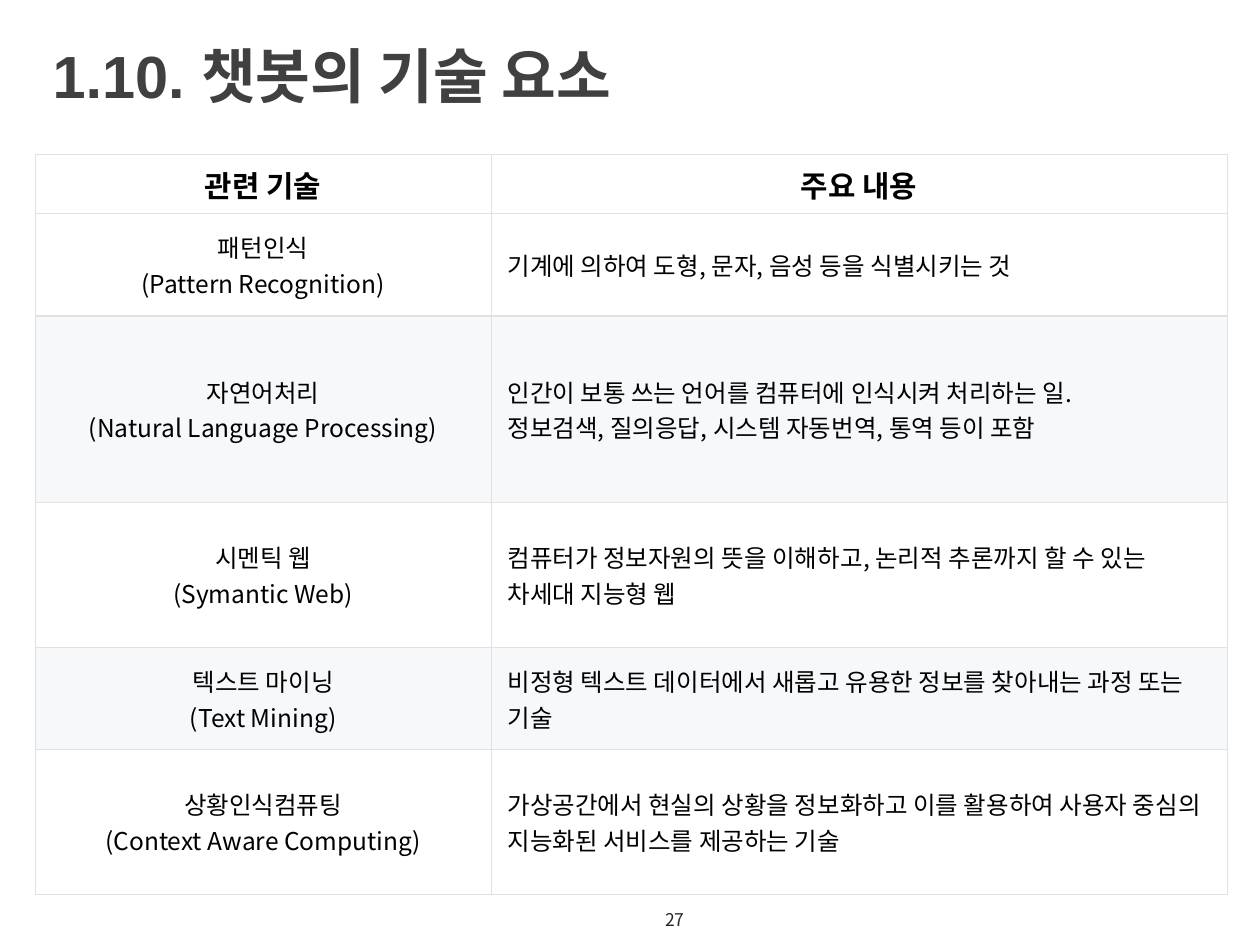
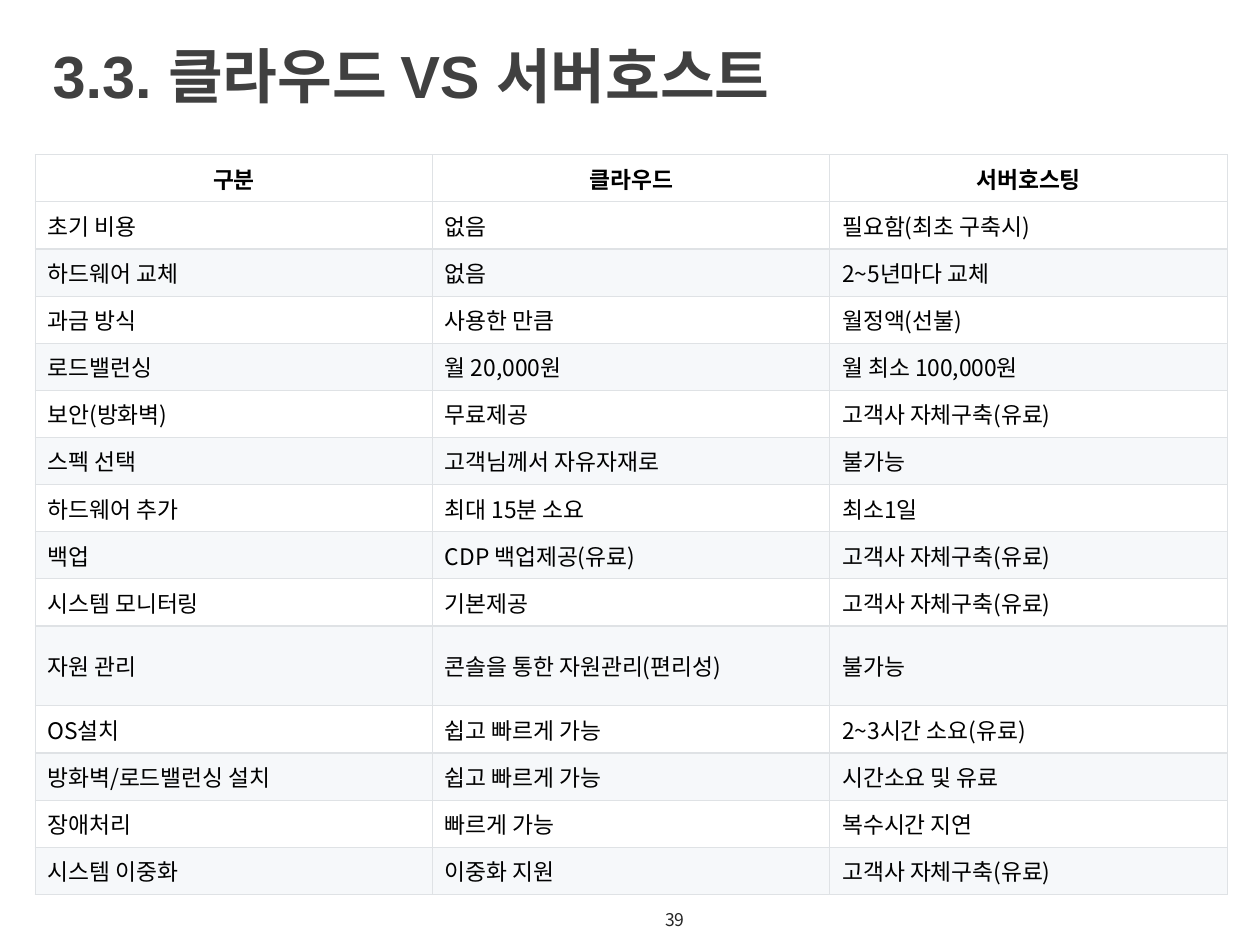
from copy import deepcopy

from lxml import etree
from pptx import Presentation
from pptx.dml.color import RGBColor
from pptx.enum.text import MSO_ANCHOR, PP_ALIGN
from pptx.oxml.ns import qn
from pptx.util import Cm, Pt

MIDDLE = MSO_ANCHOR.MIDDLE
LEFT, CENTER = PP_ALIGN.LEFT, PP_ALIGN.CENTER
SANS = "Noto Sans CJK KR"
INK, WHITE, BAND, RULE = "000000", "FFFFFF", "F6F8FA", "DFE2E5"
TITLE = {"name": "Arial", "size": Pt(34), "bold": True}
FOOTER = {"name": SANS, "size": Pt(10), "bold": False}

TECH = [
    ("관련 기술", "주요 내용"),
    ("패턴인식\n(Pattern Recognition)",
     "기계에 의하여 도형, 문자, 음성 등을 식별시키는 것"),
    ("자연어처리\n(Natural Language Processing)",
     "인간이 보통 쓰는 언어를 컴퓨터에 인식시켜 처리하는 일.\n"
     "정보검색, 질의응답, 시스템 자동번역, 통역 등이 포함"),
    ("시멘틱 웹\n(Symantic Web)",
     "컴퓨터가 정보자원의 뜻을 이해하고, 논리적 추론까지 할 수 있는 차세대 지능형 웹"),
    ("텍스트 마이닝\n(Text Mining)",
     "비정형 텍스트 데이터에서 새롭고 유용한 정보를 찾아내는 과정 또는 기술"),
    ("상황인식컴퓨팅\n(Context Aware Computing)",
     "가상공간에서 현실의 상황을 정보화하고 이를 활용하여 사용자 중심의 "
     "지능화된 서비스를 제공하는 기술"),
]
HOSTS = [
    ("구분", "클라우드", "서버호스팅"),
    ("초기 비용", "없음", "필요함(최초 구축시)"),
    ("하드웨어 교체", "없음", "2~5년마다 교체"),
    ("과금 방식", "사용한 만큼", "월정액(선불)"),
    ("로드밸런싱", "월 20,000원", "월 최소 100,000원"),
    ("보안(방화벽)", "무료제공", "고객사 자체구축(유료)"),
    ("스펙 선택", "고객님께서 자유자재로", "불가능"),
    ("하드웨어 추가", "최대 15분 소요", "최소1일"),
    ("백업", "CDP 백업제공(유료)", "고객사 자체구축(유료)"),
    ("시스템 모니터링", "기본제공", "고객사 자체구축(유료)"),
    ("자원 관리", "콘솔을 통한 자원관리(편리성)", "불가능"),
    ("OS설치", "쉽고 빠르게 가능", "2~3시간 소요(유료)"),
    ("방화벽/로드밸런싱 설치", "쉽고 빠르게 가능", "시간소요 및 유료"),
    ("장애처리", "빠르게 가능", "복수시간 지연"),
    ("시스템 이중화", "이중화 지원", "고객사 자체구축(유료)"),
]


def tint(code):
    """Return the colour for a hex string."""
    return RGBColor.from_string(code)


def dress(target, style):
    """Set each attribute named in a style dict."""
    for name, value in style.items():
        setattr(target, name, value)


class Deck:
    """Hold the shared style and the current slide."""

    def __init__(self):
        """Start an empty 4:3 deck."""
        self.show = Presentation()
        dress(self.show, {"slide_width": Cm(25.4), "slide_height": Cm(19.05)})
        self.slide = None

    def page(self, title, number):
        """Add a slide with its title and page number."""
        self.slide = self.show.slides.add_slide(self.show.slide_layouts[6])
        self.label(title, (0.81, 0.38, 19.43, 2.24), TITLE, "404040")
        self.label(str(number), (13.16, 18.03, 1.12, 1.02), FOOTER, "262626")

    def words(self, frame, text, style, color, align=LEFT):
        """Fill a text frame with one styled paragraph."""
        line = frame.paragraphs[0]
        dress(line, {"text": text, "alignment": align})
        for run in line.runs:
            dress(run.font, style)
            run.font.color.rgb = tint(color)
            props = run._r.get_or_add_rPr()
            etree.SubElement(props, qn("a:ea"), typeface=SANS)
        for gap in line._p.findall(qn("a:br")):
            gap.append(deepcopy(props))

    def label(self, text, place, style, color):
        """Add a text box centred on its height."""
        box = self.slide.shapes.add_textbox(*map(Cm, place))
        dress(box.text_frame, {"word_wrap": True, "vertical_anchor": MIDDLE})
        self.words(box.text_frame, text, style, color)

    def border(self, cell):
        """Draw a thin rule on all four sides of a cell."""
        props = cell._tc.get_or_add_tcPr()
        for side in ("lnL", "lnR", "lnT", "lnB"):
            line = etree.SubElement(props, qn(f"a:{side}"), w=str(int(Pt(0.75))))
            fill = etree.SubElement(line, qn("a:solidFill"))
            etree.SubElement(fill, qn("a:srgbClr"), val=RULE)

    def table(self, data, cols, rows, sizes, pad, middle=()):
        """Add a banded table; middle lists the centred body columns."""
        frame = self.slide.shapes.add_table(
            len(rows), len(cols), Cm(0.71), Cm(3.12), Cm(sum(cols)), Cm(sum(rows)))
        grid = frame.table
        for col, width in zip(grid.columns, cols):
            col.width = Cm(width)
        for row, height in zip(grid.rows, rows):
            row.height = Cm(height)
        wide, high = map(Cm, pad)
        form = {"margin_left": wide, "margin_right": wide, "margin_top": high,
                "margin_bottom": high, "vertical_anchor": MIDDLE}
        for r, texts in enumerate(data):
            head = r == 0
            style = {"name": SANS, "size": Pt(sizes[0 if head else 1]), "bold": head}
            shade = BAND if r and r % 2 == 0 else WHITE
            for c, text in enumerate(texts):
                cell = grid.cell(r, c)
                dress(cell, form)
                self.border(cell)
                cell.fill.solid()
                cell.fill.fore_color.rgb = tint(shade)
                align = CENTER if head or c in middle else LEFT
                self.words(cell.text_frame, text, style, INK, align)


def main():
    """Build both slides and save the deck."""
    deck = Deck()
    deck.page("1.10. 챗봇의 기술 요소", 27)
    deck.table(TECH, (9.19, 14.84), (1.19, 2.06, 3.76, 2.92, 2.06, 2.92),
               (17, 14), (0.33, 0.15), middle=(0,))
    deck.page("3.3. 클라우드 VS 서버호스트", 39)
    deck.table(HOSTS, [8.01] * 3, [0.95] * 10 + [1.61] + [0.95] * 4,
               (13, 13), (0.25, 0.13))
    deck.show.save("out.pptx")


if __name__ == "__main__":
    main()
